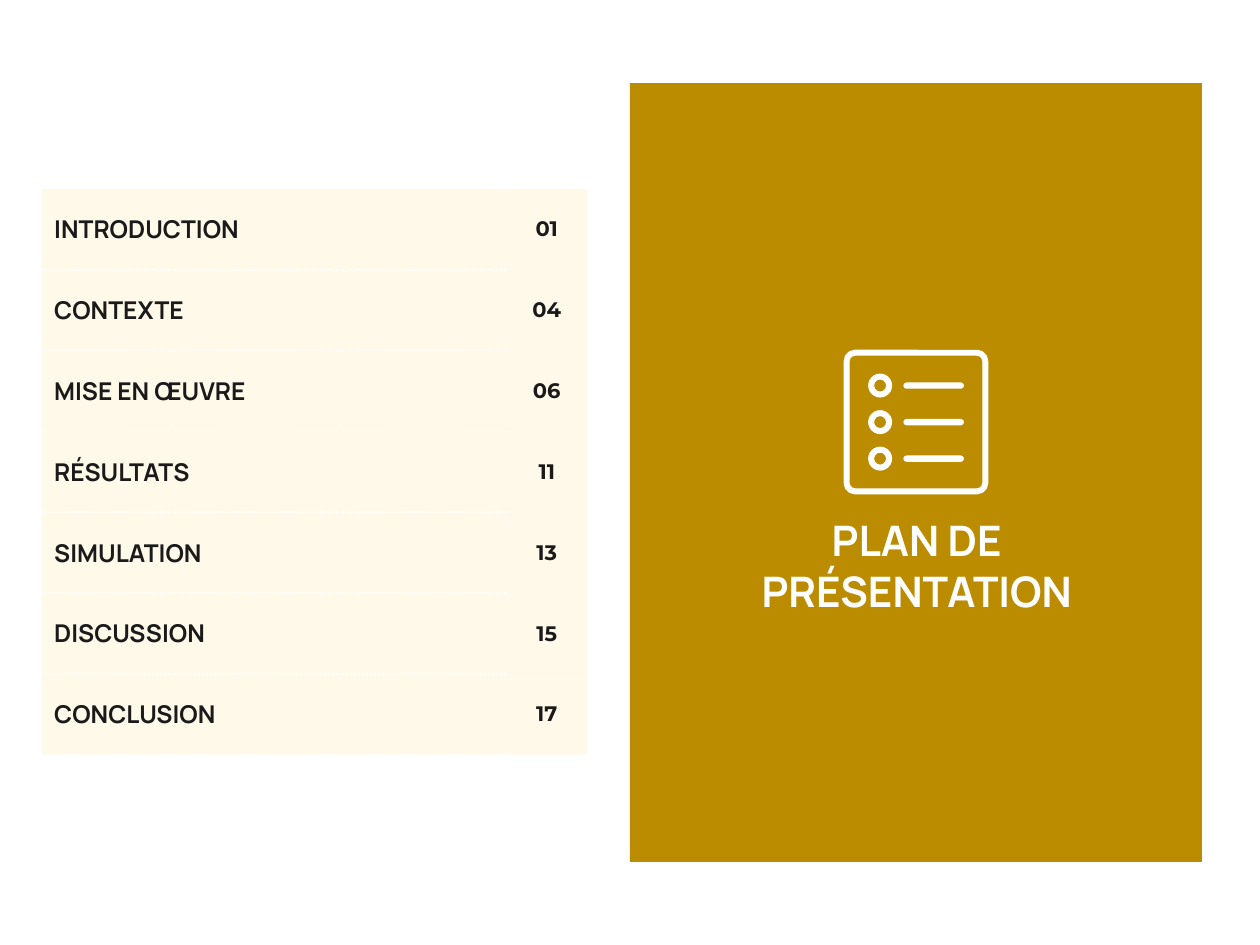
from typing import NamedTuple

from lxml import etree
from pptx import Presentation
from pptx.dml.color import RGBColor
from pptx.enum.shapes import MSO_SHAPE
from pptx.enum.text import MSO_ANCHOR, MSO_AUTO_SIZE, PP_ALIGN
from pptx.oxml.ns import qn
from pptx.util import Inches, Pt

RECTANGLE = MSO_SHAPE.RECTANGLE
ROUNDED = MSO_SHAPE.ROUNDED_RECTANGLE
DONUT = MSO_SHAPE.DONUT
MIDDLE = MSO_ANCHOR.MIDDLE
LEFT, CENTER = PP_ALIGN.LEFT, PP_ALIGN.CENTER
TITLE_ONLY = 5

GOLD, CREAM, INK, WHITE = "BC8C00", "FFF2CC", "1A1A1A", "FFFFFF"
CREAM_OPACITY = 41


class Section(NamedTuple):
    name: str
    page: str


class Box(NamedTuple):
    left: float
    top: float
    width: float
    height: float

    def lengths(self):
        return [Inches(value) for value in self]


class TextStyle(NamedTuple):
    font: str
    size: int
    color: str
    align: PP_ALIGN


SECTIONS = [
    Section("INTRODUCTION", "01"),
    Section("CONTEXTE", "04"),
    Section("MISE EN ŒUVRE", "06"),
    Section("RÉSULTATS", "11"),
    Section("SIMULATION", "13"),
    Section("DISCUSSION", "15"),
    Section("CONCLUSION", "17"),
]
NAME_STYLE = TextStyle("Manrope", 14, INK, LEFT)
PAGE_STYLE = TextStyle("Montserrat", 12, INK, CENTER)
TITLE_STYLE = TextStyle("Manrope", 24, WHITE, CENTER)


def rgb(color: str) -> RGBColor:
    return RGBColor.from_string(color)


def write(text_frame, text: str, style: TextStyle) -> None:
    paragraph = text_frame.paragraphs[0]
    paragraph.alignment = style.align
    run = paragraph.add_run()
    run.text = text
    run.font.name = style.font
    run.font.size = Pt(style.size)
    run.font.bold = True
    run.font.color.rgb = rgb(style.color)


def add_solid(slide, preset, box: Box, color: str, adjustment=None):
    shape = slide.shapes.add_shape(preset, *box.lengths())
    shape.shadow.inherit = False
    shape.fill.solid()
    shape.fill.fore_color.rgb = rgb(color)
    shape.line.fill.background()
    if adjustment is not None:
        shape.adjustments[0] = adjustment
    return shape


def set_borders(cell, dotted_sides: str) -> None:
    """Dot the given sides (of L, R, T, B) in white and clear the others."""
    properties = cell._tc.get_or_add_tcPr()
    for side in "LRTB":
        border = etree.SubElement(properties, qn(f"a:ln{side}"), w=str(Pt(1)))
        if side in dotted_sides:
            fill = etree.SubElement(border, qn("a:solidFill"))
            etree.SubElement(fill, qn("a:srgbClr"), val=WHITE)
            etree.SubElement(border, qn("a:prstDash"), val="sysDot")
        else:
            etree.SubElement(border, qn("a:noFill"))


def fill_cell(cell, text: str, style: TextStyle, dotted_sides: str) -> None:
    cell.vertical_anchor = MIDDLE
    cell.margin_left = cell.margin_right = Inches(0.1)
    cell.margin_top = cell.margin_bottom = Inches(0.1)
    write(cell.text_frame, text, style)
    set_borders(cell, dotted_sides)
    cell.fill.solid()
    cell.fill.fore_color.rgb = rgb(CREAM)
    tint = cell._tc.tcPr.find(qn("a:solidFill")).find(qn("a:srgbClr"))
    etree.SubElement(tint, qn("a:alpha"), val=str(CREAM_OPACITY * 1000))


def add_contents(slide, box: Box) -> None:
    table = slide.shapes.add_table(len(SECTIONS), 2, *box.lengths()).table
    table.first_row = table.horz_banding = False
    page_width = 0.64
    table.columns[0].width = Inches(box.width - page_width)
    table.columns[1].width = Inches(page_width)
    for index, section in enumerate(SECTIONS):
        table.rows[index].height = Inches(box.height / len(SECTIONS))
        dotted_sides = "B" if index == 0 else "TB"
        fill_cell(table.cell(index, 0), section.name, NAME_STYLE, dotted_sides)
        fill_cell(table.cell(index, 1), section.page, PAGE_STYLE, "")


def add_list_icon(slide) -> None:
    frame = slide.shapes.add_shape(ROUNDED, *Box(6.72, 2.8, 1.1, 1.1).lengths())
    frame.shadow.inherit = False
    frame.fill.background()
    frame.line.color.rgb = rgb(WHITE)
    frame.line.width = Pt(3.4)
    frame.adjustments[0] = 0.06

    # Three rings, each followed by a bar with round ends
    ring, bar = 0.19, 0.05
    first_center, pitch = 3.06, 0.29
    for row in range(3):
        center = first_center + row * pitch
        add_solid(slide, DONUT, Box(6.89, center - ring / 2, ring, ring), WHITE, 0.25)
        add_solid(slide, ROUNDED, Box(7.17, center - bar / 2, 0.48, bar), WHITE, 0.5)


def place_title(slide, box: Box) -> None:
    title = slide.shapes.title
    title.left, title.top, title.width, title.height = box.lengths()
    frame = title.text_frame
    frame.word_wrap = True
    frame.auto_size = MSO_AUTO_SIZE.NONE
    frame.vertical_anchor = MIDDLE
    frame.margin_left = frame.margin_right = 0
    frame.margin_top = frame.margin_bottom = 0
    write(frame, "PLAN DE PRÉSENTATION", TITLE_STYLE)
    # Bring the title in front of the gold panel
    slide.shapes.element.append(title.element)


def main() -> None:
    deck = Presentation()
    deck.slide_width, deck.slide_height = Inches(10), Inches(7.5)
    slide = deck.slides.add_slide(deck.slide_layouts[TITLE_ONLY])

    # Gold panel, table of contents, icon and title
    add_solid(slide, RECTANGLE, Box(5, 0.66, 4.54, 6.18), GOLD)
    add_contents(slide, Box(0.33, 1.5, 4.33, 4.49))
    add_list_icon(slide)
    place_title(slide, Box(5.44, 4.08, 3.67, 0.81))

    deck.save("out.pptx")


if __name__ == "__main__":
    main()
